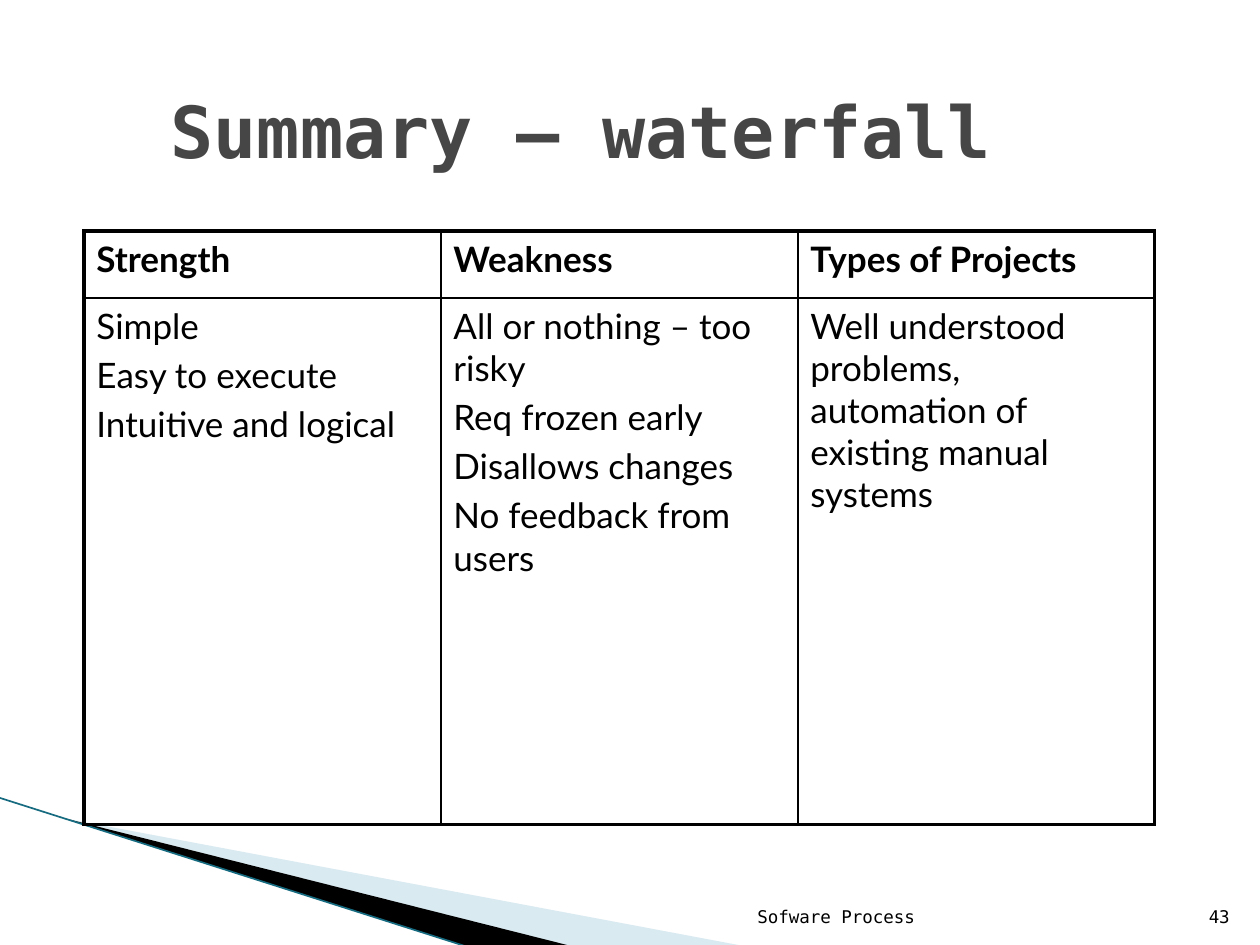
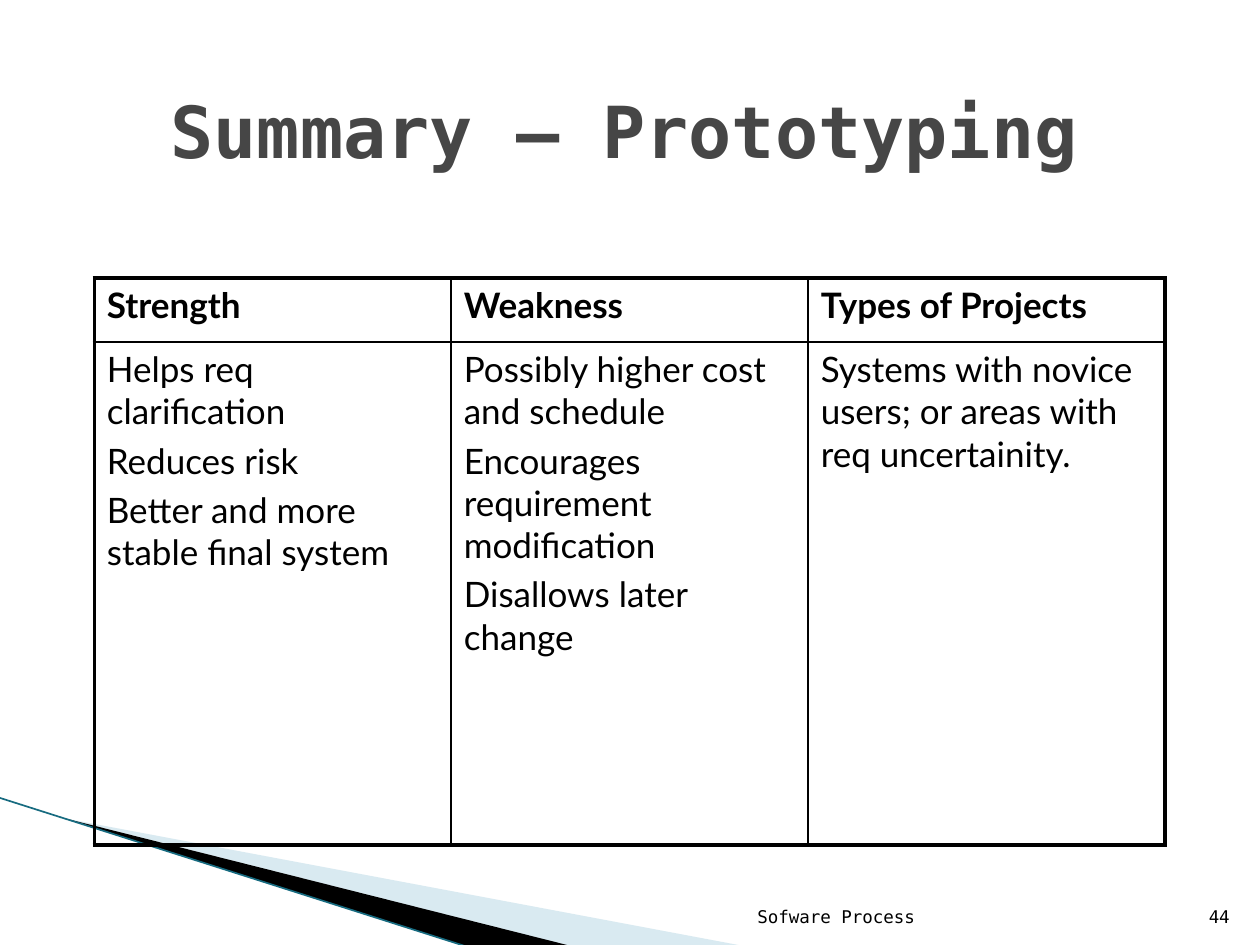
from lxml import etree
from pptx import Presentation, util as u
from pptx.dml.color import RGBColor
from pptx.enum import shapes, text
from pptx.oxml.ns import qn

BLACK = RGBColor(0x00, 0x00, 0x00)
GREY = RGBColor(0x46, 0x46, 0x46)
PALE_BLUE = RGBColor(0xA0, 0xCB, 0xDC)
TEAL = RGBColor(0x17, 0x6B, 0x80)
MONO, SANS = "DejaVu Sans Mono", "Lato"
THICK, THIN = 2.25, 1
HEADINGS = ["Strength", "Weakness", "Types of Projects"]


def write(tf, lines, size, font, color=BLACK, bold=False, before=0,
          align=text.PP_ALIGN.LEFT):
    """Fill a text frame, one paragraph for each line."""
    for i, line in enumerate(lines):
        p = tf.paragraphs[0] if i == 0 else tf.add_paragraph()
        p.alignment, p.space_before = align, u.Pt(before)
        r = p.add_run()
        r.text = line
        r.font.size, r.font.name, r.font.bold = u.Pt(size), font, bold
        r.font.color.rgb = color


def add_text(s, box, line, anchor, **fmt):
    tf = s.shapes.add_textbox(*map(u.Cm, box)).text_frame
    tf.word_wrap, tf.vertical_anchor = True, anchor
    write(tf, [line], **fmt)


def set_frame(sp, frame):
    """Give a freeform another frame while its outline stays in place."""
    left, top, width, height = map(u.Cm, frame)
    path = sp._element.spPr.find(".//" + qn("a:path"))
    for pt in path.iter(qn("a:pt")):
        pt.set("x", str(int(pt.get("x")) + sp.left - left))
        pt.set("y", str(int(pt.get("y")) + sp.top - top))
    path.set("w", str(width))
    path.set("h", str(height))
    sp.left, sp.top, sp.width, sp.height = left, top, width, height


def add_wedge(s, points, frame, color, opacity=100):
    pts = [(u.Cm(x), u.Cm(y)) for x, y in points]
    builder = s.shapes.build_freeform(*pts[0])
    builder.add_line_segments(pts[1:], close=True)
    sp = builder.convert_to_shape()
    set_frame(sp, frame)
    sp.shadow.inherit = False
    sp.line.fill.background()
    sp.fill.solid()
    sp.fill.fore_color.rgb = color
    if opacity < 100:
        clr = sp.fill._xPr.find(".//" + qn("a:srgbClr"))
        etree.SubElement(clr, qn("a:alpha"), val=str(opacity * 1000))


def add_corner(s, left, top, height):
    """Swoosh that fans out from a tip to just below the bottom edge."""
    bottom = top + height
    tip = (left + 1.38, top + 0.43)
    add_wedge(s, [tip, (left + 15.11, bottom), (left + 11.58, bottom)],
              (left + 1.98, top - 2.19, 10.57, 4.01), PALE_BLUE, 40)
    add_wedge(s, [tip, (left + 11.61, bottom), (left + 9.45, bottom)],
              (left - 0.15, top, 10.57, 2.34), BLACK)
    line = s.shapes.add_connector(shapes.MSO_CONNECTOR.STRAIGHT, u.Cm(left), u.Cm(top),
                                  u.Cm(left + 9.45), u.Cm(bottom))
    line.line.color.rgb, line.line.width = TEAL, u.Pt(0.95)
    etree.SubElement(line._element.spPr, qn("a:effectLst"))


def add_footer(s, top, number):
    for box, line in (((12.16, top, 6.53, 1.02), "Sofware Process"),
                      ((24.02, top, 1.02, 1.02), str(number))):
        add_text(s, box, line, text.MSO_ANCHOR.BOTTOM, size=10, font=MONO,
                 align=text.PP_ALIGN.RIGHT)


def set_borders(cell, widths):
    """Draw the left, right, top and bottom border, in that order."""
    tcPr = cell._tc.get_or_add_tcPr()
    for i, (side, width) in enumerate(zip("LRTB", widths)):
        ln = etree.Element(qn("a:ln" + side), w=str(u.Pt(width)))
        fill = etree.SubElement(ln, qn("a:solidFill"))
        etree.SubElement(fill, qn("a:srgbClr"), val=str(BLACK))
        tcPr.insert(i, ln)


def add_summary_table(s, box, head_height, columns):
    width, height = box[2:]
    rows = [[[h] for h in HEADINGS], columns]
    n_rows, n_cols = len(rows), len(HEADINGS)
    table = s.shapes.add_table(n_rows, n_cols, *map(u.Cm, box)).table
    table.first_row = table.horz_banding = False
    for row, h in zip(table.rows, (head_height, height - head_height)):
        row.height = u.Cm(h)
    for col in table.columns:
        col.width = u.Cm(width / n_cols)
    for i, row in enumerate(rows):
        for j, lines in enumerate(row):
            cell = table.cell(i, j)
            cell.fill.background()
            write(cell.text_frame, lines, 20, SANS, bold=i == 0, before=4)
            outer = (j == 0, j == n_cols - 1, i == 0, i == n_rows - 1)
            set_borders(cell, [THICK if edge else THIN for edge in outer])


def add_summary_slide(prs, number, title, box, head_height, columns):
    s = prs.slides.add_slide(prs.slide_layouts[6])
    add_corner(s, -0.02, 16.08, 3.01)
    add_footer(s, 17.8, number)
    add_text(s, (3.19, 0.58, 21.64, 4.06), title, text.MSO_ANCHOR.MIDDLE,
             size=41, font=MONO, color=GREY, bold=True)
    add_summary_table(s, box, head_height, columns)


prs = Presentation()
prs.slide_width, prs.slide_height = u.Cm(25.4), u.Cm(19.05)

add_summary_slide(prs, 43, "Summary – waterfall", (1.69, 4.66, 21.59, 11.96), 1.35, [
    ["Simple", "Easy to execute", "Intuitive and logical"],
    ["All or nothing – too risky", "Req frozen early", "Disallows changes",
     "No feedback from users"],
    ["Well understood problems, automation of existing manual systems"],
])
add_summary_slide(prs, 44, "Summary – Prototyping", (1.9, 5.6, 21.59, 11.43), 1.29, [
    ["Helps req clarification", "Reduces risk", "Better and more stable final system"],
    ["Possibly higher cost and schedule", "Encourages requirement modification",
     "Disallows later change"],
    ["Systems with novice users; or areas with req uncertainity."],
])

prs.save("out.pptx")
